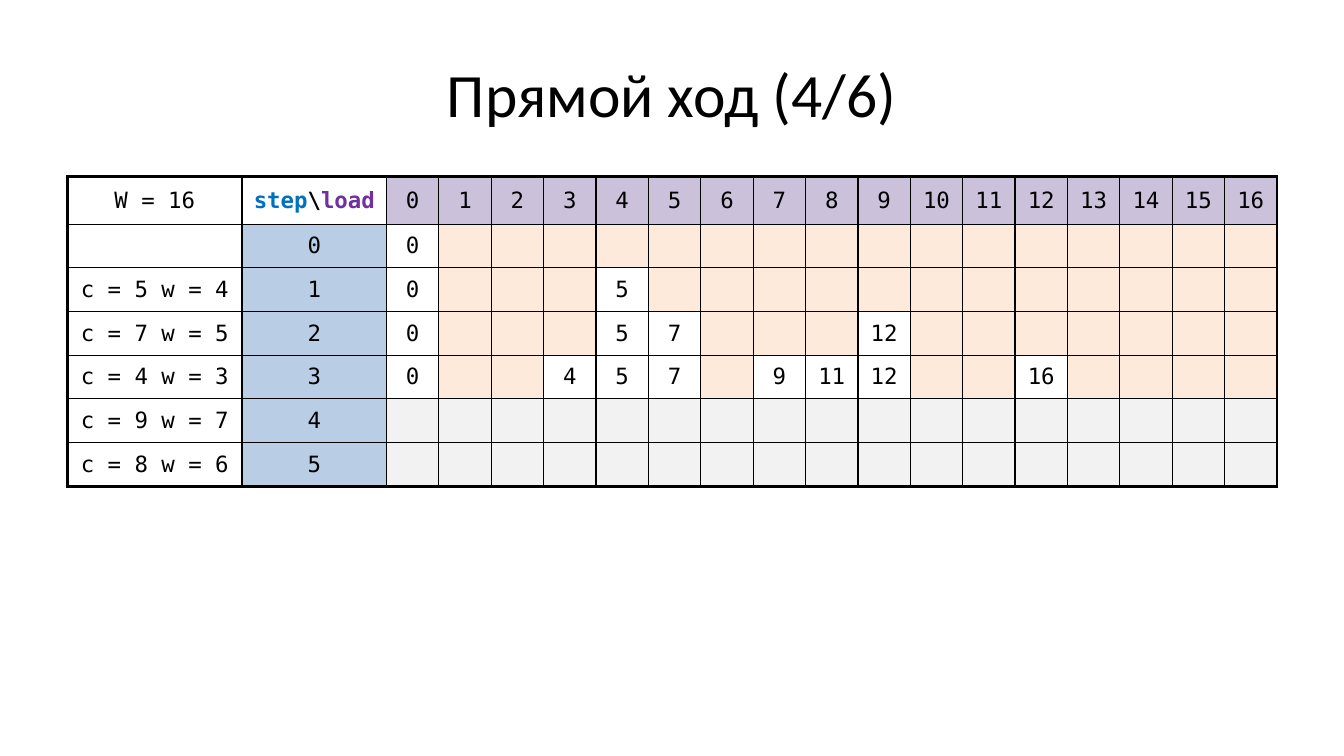
import pptx
import pptx.dml.color
import pptx.enum.text
import pptx.oxml
import pptx.oxml.ns
import pptx.util
from pptx.util import Cm

RGB = pptx.dml.color.RGBColor
BLACK = RGB(0x00, 0x00, 0x00)
WHITE = RGB(0xFF, 0xFF, 0xFF)
BLUE = RGB(0x00, 0x70, 0xC0)
PURPLE = RGB(0x70, 0x30, 0xA0)
LILAC = RGB(0xCC, 0xC1, 0xDA)
SKY = RGB(0xB9, 0xCD, 0xE5)
PEACH = RGB(0xFD, 0xEA, 0xDA)
GREY = RGB(0xF2, 0xF2, 0xF2)

LIMIT = 16
DONE = 3
ITEMS = [(5, 4), (7, 5), (4, 3), (9, 7), (8, 6)]
THIN, THICK = 1, 2.25


class Deck:
    def __init__(self):
        self.prs = pptx.Presentation()
        self.prs.slide_width = Cm(33.87)
        self.prs.slide_height = Cm(19.05)
        self.slide = self.prs.slides.add_slide(self.prs.slide_layouts[5])
        self.head = "Calibri"
        self.mono = "DejaVu Sans Mono"

    def style(self, run, font, size, color=BLACK, bold=False):
        run.font.name = font
        run.font.size = pptx.util.Pt(size)
        run.font.color.rgb = color
        run.font.bold = bold

    def title(self, text):
        box = self.slide.shapes.title
        box.left, box.top, box.width, box.height = Cm(1.69), Cm(0.76), Cm(30.48), Cm(3.18)
        box.text_frame.text = text
        box.text_frame.vertical_anchor = pptx.enum.text.MSO_ANCHOR.MIDDLE
        para = box.text_frame.paragraphs[0]
        para.alignment = pptx.enum.text.PP_ALIGN.CENTER
        self.style(para.runs[0], self.head, 44)

    def edge(self, cell, side, width):
        line = pptx.oxml.parse_xml(
            f'<a:ln{side} {pptx.oxml.ns.nsdecls("a")} w="{pptx.util.Pt(width)}">'
            f'<a:solidFill><a:srgbClr val="{BLACK}"/></a:solidFill></a:ln{side}>')
        cell._tc.get_or_add_tcPr().append(line)

    def cell(self, cell, parts, fill):
        """Fill a cell with (text, colour, bold) parts."""
        cell.vertical_anchor = pptx.enum.text.MSO_ANCHOR.MIDDLE
        cell.fill.solid()
        cell.fill.fore_color.rgb = fill
        para = cell.text_frame.paragraphs[0]
        para.alignment = pptx.enum.text.PP_ALIGN.CENTER
        for text, color, bold in parts:
            run = para.add_run()
            run.text = text
            self.style(run, self.mono, 16, color, bold)

    def table(self, rows, widths, heights):
        """Draw rows of (parts, fill) cells inside a thick frame."""
        grid = self.slide.shapes.add_table(
            len(rows), len(widths), Cm(1.7), Cm(4.45),
            Cm(sum(widths)), Cm(sum(heights))).table
        grid.first_row = grid.horz_banding = False
        for col, width in zip(grid.columns, widths):
            col.width = Cm(width)
        for row, height in zip(grid.rows, heights):
            row.height = Cm(height)
        for y, row in enumerate(rows):
            for x, (parts, fill) in enumerate(row):
                cell = grid.cell(y, x)
                outer = {"L": x == 0, "R": x == len(widths) - 1,
                         "T": y == 0, "B": y == len(rows) - 1}
                for side, thick in outer.items():
                    self.edge(cell, side, THICK if thick else THIN)
                self.cell(cell, parts, fill)


def plain(value):
    return [(str(value), BLACK, False)]


def steps():
    """Return the best cost by load after each finished step."""
    best = {0: 0}
    found = [best]
    for cost, weight in ITEMS[:DONE]:
        grown = dict(best)
        for load, total in best.items():
            if load + weight <= LIMIT:
                grown[load + weight] = max(grown.get(load + weight, 0), total + cost)
        best = grown
        found.append(best)
    return found


def build():
    loads = range(LIMIT + 1)
    corner = [("step", BLUE, True), ("\\", BLACK, True), ("load", PURPLE, True)]
    rows = [[(plain(f"W = {LIMIT}"), WHITE), (corner, WHITE)]
            + [(plain(load), LILAC) for load in loads]]
    found = steps()
    names = [[]] + [plain(f"c = {cost} w = {weight}") for cost, weight in ITEMS]
    for step, name in enumerate(names):
        best = found[step] if step <= DONE else {}
        blank = PEACH if step <= DONE else GREY
        rows.append([(name, WHITE), (plain(step), SKY)]
                    + [(plain(best[load]), WHITE) if load in best else ([], blank)
                       for load in loads])
    deck = Deck()
    deck.title("Прямой ход (4/6)")
    deck.table(rows, [4.4, 3.64] + [1.32] * len(loads), [1.2] + [1.1] * len(names))
    deck.prs.save("out.pptx")


if __name__ == "__main__":
    build()
